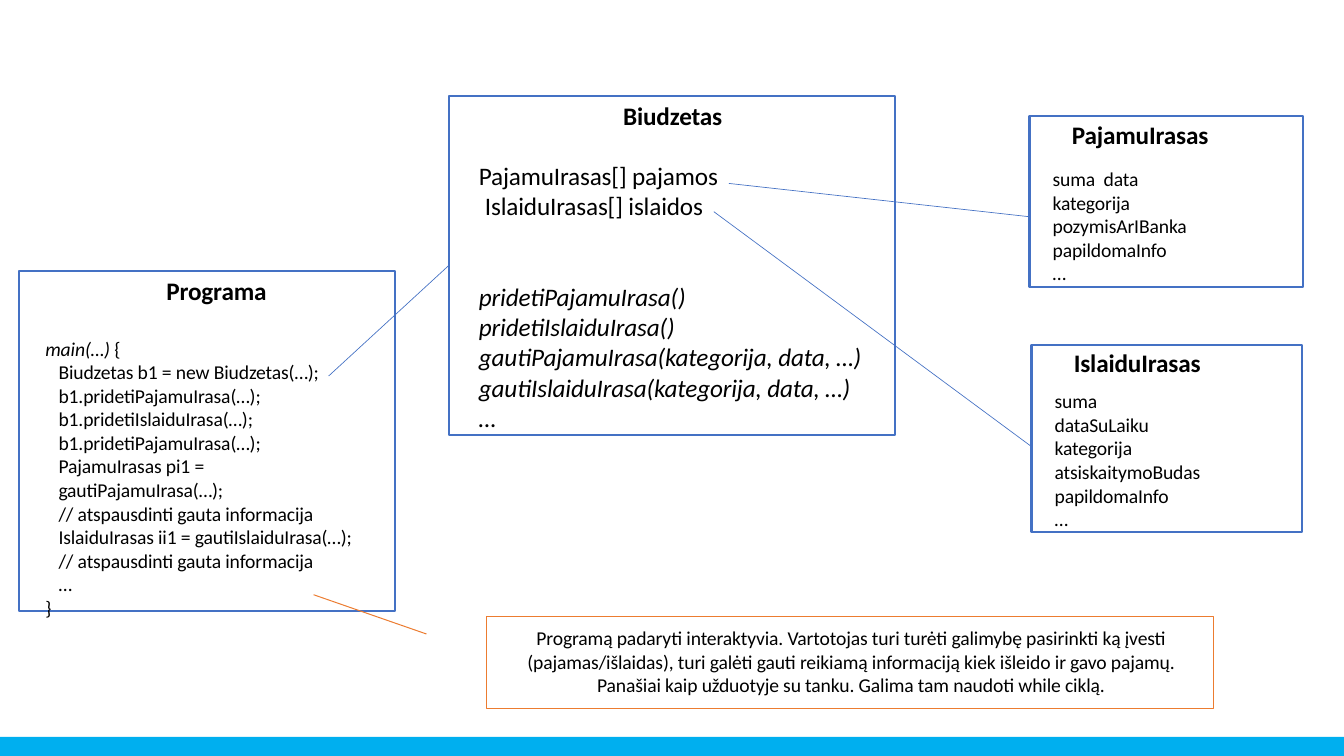
from lxml import etree
from pptx import Presentation
from pptx.dml.color import RGBColor
from pptx.enum import shapes, text
from pptx.oxml import ns
from pptx.util import Inches, Pt

BLUE = RGBColor(0x44, 0x71, 0xC4)
ORANGE = RGBColor(0xEC, 0x7C, 0x30)
CYAN = RGBColor(0x00, 0xAF, 0xEF)
BLACK = RGBColor(0, 0, 0)
LEFT, CENTER = text.PP_ALIGN.LEFT, text.PP_ALIGN.CENTER


def add_lines(shape, lines, size, indent=0.01, before=0, align=LEFT, **font_format):
    """Append one paragraph per line; before is the space above the first, in points."""
    frame = shape.text_frame
    for index, line in enumerate(lines):
        paragraph = frame.add_paragraph() if frame.text else frame.paragraphs[0]
        paragraph.alignment = align
        paragraph.line_spacing = Pt(size * 1.2)
        paragraph.space_before = Pt(0 if index else before)
        paragraph._p.get_or_add_pPr().set("marL", str(Inches(indent)))
        run = paragraph.add_run()
        run.text = line
        run.font.color.rgb = BLACK
        run._r.get_or_add_rPr().set("spc", "-10")
        settings = {"name": "Calibri", "size": Pt(size), "bold": False, **font_format}
        for name, value in settings.items():
            setattr(run.font, name, value)
    return paragraph


def prepare_frame(shape, top_inset):
    settings = {
        "word_wrap": True, "auto_size": text.MSO_AUTO_SIZE.NONE,
        "vertical_anchor": text.MSO_ANCHOR.TOP, "margin_left": 0,
        "margin_right": 0, "margin_bottom": 0, "margin_top": Inches(top_inset),
    }
    for name, value in settings.items():
        setattr(shape.text_frame, name, value)


presentation = Presentation()
presentation.slide_width = Inches(13.33)
presentation.slide_height = Inches(7.5)
slide = presentation.slides.add_slide(presentation.slide_layouts[5])

# Boxes: left, top, width, height, line colour, line width, top inset
box_layout = {
    "footer": (0, 7.31, 13.33, 0.19, None, 0, 0),
    "income": (10.21, 1.15, 2.71, 1.7, BLUE, 1.56, 0.03),
    "expense": (10.23, 3.42, 2.68, 1.86, BLUE, 1.56, 0.03),
    "budget": (4.45, 0.95, 4.43, 3.37, BLUE, 1.56, 0),
    "program": (0.19, 2.69, 3.73, 3.37, BLUE, 1.56, 0),
    "note": (4.83, 6.12, 7.21, 0.91, ORANGE, 0.72, 0.09),
}
boxes = {}
for name, (left, top, width, height, color, weight, inset) in box_layout.items():
    box = slide.shapes.add_shape(
        shapes.MSO_SHAPE.RECTANGLE, Inches(left), Inches(top), Inches(width), Inches(height))
    box.shadow.inherit = False
    if color is None:
        box.fill.solid()
        box.fill.fore_color.rgb = CYAN
        box.line.fill.background()
    else:
        box.fill.background()
        box.line.color.rgb = color
        box.line.width = Pt(weight)
    prepare_frame(box, inset)
    boxes[name] = box

# Record classes
records = [
    ("income", "PajamuIrasas", 12.7,
     ["suma  data", "kategorija", "pozymisArIBanka", "papildomaInfo", "…"]),
    ("expense", "IslaiduIrasas", 8.1,
     ["suma", "dataSuLaiku", "kategorija", "atsiskaitymoBudas", "papildomaInfo", "…"]),
]
for name, heading, gap, fields in records:
    add_lines(boxes[name], [heading], 18, indent=0.42, bold=True)
    add_lines(boxes[name], fields, 14, indent=0.23, before=gap)

add_lines(boxes["note"], [
    "Programą padaryti interaktyvia. Vartotojas turi turėti galimybę pasirinkti ką įvesti",
    "(pajamas/išlaidas), turi galėti gauti reikiamą informaciją kiek išleido ir gavo pajamų.",
    "Panašiai kaip užduotyje su tanku. Galima tam naudoti while ciklą.",
], 14, align=CENTER)

# Budget class
title = slide.shapes.title
title.left, title.top, title.width, title.height = map(Inches, (6.14, 0.97, 1.53, 0.33))
prepare_frame(title, 0.02)
add_lines(title, ["Biudzetas"], 18, indent=0.04, bold=True)

text_areas = {
    "attributes": (4.74, 1.57, 2.6, 0.63),
    "methods": (4.74, 2.77, 4.1, 1.53),
    "program title": (1.64, 2.71, 1.27, 0.33),
    "code": (0.44, 3.32, 3.45, 2.85),
}
areas = {}
for name, place in text_areas.items():
    areas[name] = slide.shapes.add_textbox(*map(Inches, place))
    prepare_frame(areas[name], 0.02)

add_lines(areas["attributes"], ["PajamuIrasas[] pajamos"], 18)
add_lines(areas["attributes"], ["IslaiduIrasas[] islaidos"], 18, indent=0.07)
add_lines(areas["methods"], [
    "pridetiPajamuIrasa()",
    "pridetiIslaiduIrasa()",
    "gautiPajamuIrasa(kategorija, data, …)",
    "gautiIslaiduIrasa(kategorija, data, …)",
    "…",
], 18, italic=True)

# Program class
add_lines(areas["program title"], ["Programa"], 18, bold=True)
main_line = add_lines(areas["code"], ["main(…) "], 14, italic=True)
brace = main_line.add_run()
brace.text = "{"
brace.font.name = "Calibri"
brace.font.size = Pt(14)
brace.font.color.rgb = BLACK
add_lines(areas["code"], [
    "Biudzetas b1 = new Biudzetas(…);",
    "b1.pridetiPajamuIrasa(…);",
    "b1.pridetiIslaiduIrasa(…);",
    "b1.pridetiPajamuIrasa(…);",
    "PajamuIrasas pi1 =",
    "gautiPajamuIrasa(…);",
    "// atspausdinti gauta informacija",
    "IslaiduIrasas ii1 = gautiIslaiduIrasa(…);",
    "// atspausdinti gauta informacija",
    "…",
], 14, indent=0.14)
add_lines(areas["code"], ["}"], 14)

# Links: start and end points, colour, width, box joined at its left side
links = [
    (7.23, 1.82, 10.21, 2.15, BLUE, 0.48, None),
    (7.08, 2.1, 10.23, 4.43, BLUE, 0.48, None),
    (3.26, 3.73, 4.45, 2.63, BLUE, 0.48, "budget"),
    (4.23, 6.29, 3.11, 5.9, ORANGE, 0.72, None),
]
for *points, color, weight, joined in links:
    link = slide.shapes.add_connector(shapes.MSO_CONNECTOR.STRAIGHT, *map(Inches, points))
    link.line.color.rgb = color
    link.line.width = Pt(weight)
    etree.SubElement(link._element.spPr, ns.qn("a:effectLst"))
    if joined:
        link.end_connect(boxes[joined], 1)

presentation.save("out.pptx")
